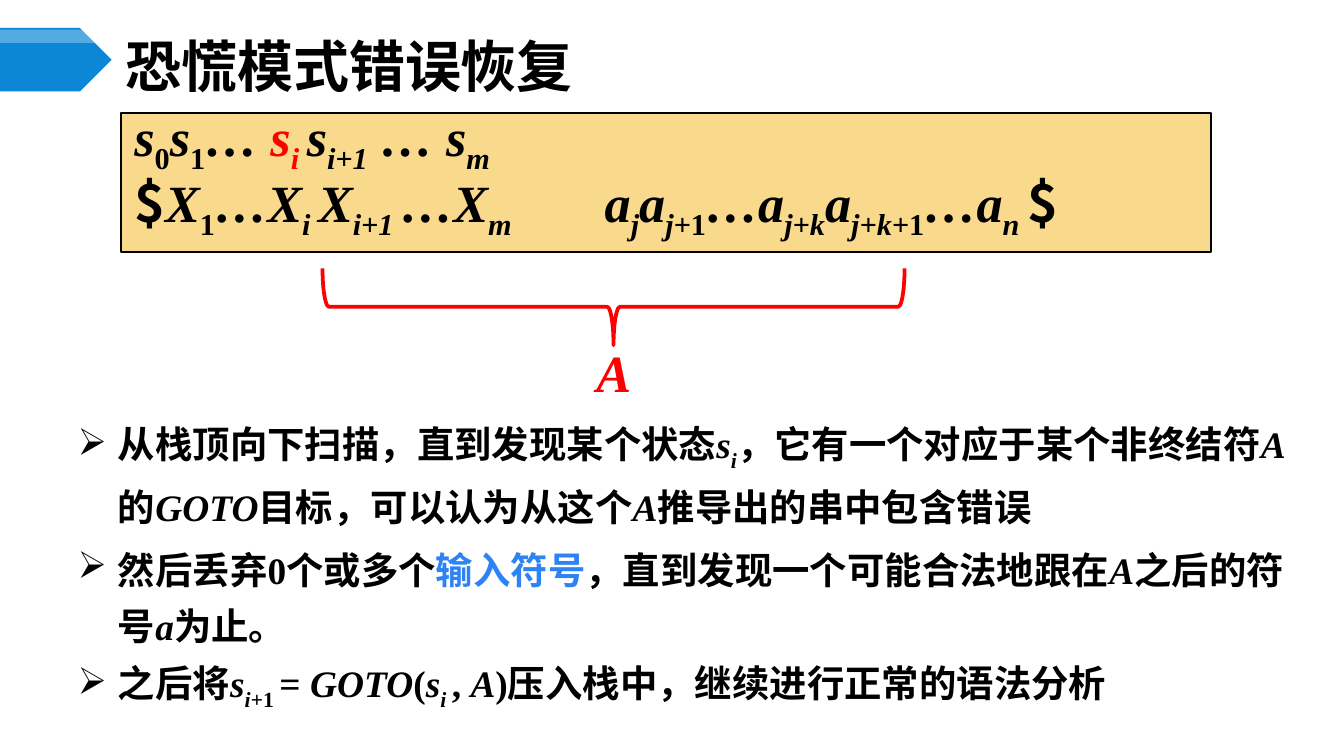
from lxml.etree import SubElement
from pptx import Presentation
from pptx.dml.color import RGBColor
from pptx.enum.shapes import MSO_SHAPE
from pptx.enum.text import MSO_ANCHOR, MSO_AUTO_SIZE, PP_ALIGN
from pptx.oxml.ns import qn
from pptx.util import Cm, Pt

SERIF = "Times New Roman"
SANS = "Noto Sans CJK SC"
BLACK, RED, BLUE = "000000", "FF0000", "2D83F4"

STACK = [
    [("s", "i"), ("0", "_"), ("s", "i"), ("1", "_"), ("… ", "i"),
     ("s", "ir"), ("i ", "i_r"), ("s", "i"), ("i+1", "i_"),
     (" … s", "i"), ("m", "i_")],
    [("$", "c"), ("X", "i"), ("1", "_"), ("…X", "i"), ("i ", "i_"),
     ("X", "i"), ("i+1 ", "i_"), ("…X", "i"), ("m", "i_"),
     ("\t\t", "i_"), ("a", "i"), ("j", "i_"), ("a", "i"), ("j+", "i_"),
     ("1", "_"), ("…a", "i"), ("j+k", "i_"), ("a", "i"),
     ("j+k+", "i_"), ("1", "_"), ("…a", "i"), ("n ", "i_"), ("$", "c")],
]
STEPS = [
    [("从栈顶向下扫描，直到发现某个状态", ""), ("s", "i"), ("i", "i_"),
     ("，它有一个对应于某个非终结符", ""), ("A", "i"), ("的", ""),
     ("GOTO", "i"), ("目标，可以认为从这个", ""), ("A", "i"),
     ("推导出的串中包含错误", "")],
    [("然后丢弃0个或多个", ""), ("输入符号", "b"),
     ("，直到发现一个可能合法地跟在", ""), ("A", "i"),
     ("之后的符号", ""), ("a", "i"), ("为止。", "")],
    [("之后将", ""), ("s", "i"), ("i+", "i_"), ("1 ", "_"), ("= ", ""),
     ("GOTO", "i"), ("(", ""), ("s", "i"), ("i ", "i_"), (", ", ""),
     ("A", "i"), (")压入栈中，继续进行正常的语法分析", "")],
]


def color(code):
    return RGBColor.from_string(code)


def style(run, size, marks="", east=SERIF):
    font = run.font
    font.size = Pt(size)
    font.bold = True
    font.italic = "i" in marks
    font.name = SANS if "c" in marks else SERIF
    font.color.rgb = color(RED if "r" in marks else BLUE if "b" in marks else BLACK)
    props = run._r.get_or_add_rPr()
    SubElement(props, qn("a:ea")).set("typeface", SANS if "c" in marks else east)
    if "_" in marks:
        props.set("baseline", "-25000")


def bullet(para):
    props = para._p.get_or_add_pPr()
    props.set("marL", str(Cm(0.76)))
    props.set("indent", str(Cm(-0.76)))
    SubElement(props, qn("a:buChar")).set("char", "➢")


def write(frame, lines, size, east=SERIF, dots=False):
    frame.word_wrap = True
    for row, parts in enumerate(lines):
        para = frame.add_paragraph() if row else frame.paragraphs[0]
        if dots:
            bullet(para)
        para.alignment = PP_ALIGN.LEFT
        para.line_spacing = Pt(30)
        if row:
            para.space_before = Pt(size * 0.2)
        for text, marks in parts:
            run = para.add_run()
            run.text = text
            style(run, size, marks, east)


def draw(slide, kind, place, fill=None, line=None, width=1):
    shape = slide.shapes.add_shape(kind, *map(Cm, place))
    shape.shadow.inherit = False
    if fill:
        shape.fill.solid()
        shape.fill.fore_color.rgb = color(fill)
    else:
        shape.fill.background()
    if line:
        shape.line.color.rgb = color(line)
        shape.line.width = Pt(width)
    else:
        shape.line.fill.background()
    return shape


def banner(slide):
    draw(slide, MSO_SHAPE.PENTAGON, (0, 0.53, 2.11, 1.2), "0B87D6")
    gloss = draw(slide, MSO_SHAPE.PENTAGON, (0, 0.56, 2.11, 0.25), "FFFFFF")
    tint = gloss.fill._xPr.find(qn("a:solidFill"))[0]
    SubElement(tint, qn("a:alpha")).set("val", "30000")


def head(slide, text):
    title = slide.shapes.title
    title.left, title.top, title.width, title.height = map(Cm, (2.11, 0.74, 22.02, 0.99))
    frame = title.text_frame
    frame.text = text
    frame.auto_size = MSO_AUTO_SIZE.NONE
    frame.vertical_anchor = MSO_ANCHOR.MIDDLE
    frame.paragraphs[0].alignment = PP_ALIGN.LEFT
    style(frame.paragraphs[0].runs[0], 30, "c")


def panel(slide):
    box = draw(slide, MSO_SHAPE.RECTANGLE, (2.29, 2.13, 20.6, 2.64), "F9D98C", BLACK)
    box.text_frame.vertical_anchor = MSO_ANCHOR.TOP
    write(box.text_frame, STACK, 28)


def brace(slide):
    mark = draw(slide, MSO_SHAPE.RIGHT_BRACE, (10.87, 0.3, 1.45, 11), line=RED, width=2)
    mark.rotation = 90
    label = slide.shapes.add_textbox(*map(Cm, (11.02, 6.3, 1.17, 1.45)))
    frame = label.text_frame
    frame.text = "A"
    frame.word_wrap = False
    style(frame.paragraphs[0].runs[0], 28, "ir")


def steps(slide):
    box = slide.shapes.add_textbox(*map(Cm, (1.22, 7.75, 23.83, 5.87)))
    write(box.text_frame, STEPS, 20, SANS, True)


def main():
    deck = Presentation()
    deck.slide_width, deck.slide_height = Cm(25.4), Cm(14.29)
    slide = deck.slides.add_slide(deck.slide_layouts[5])
    banner(slide)
    head(slide, "恐慌模式错误恢复")
    steps(slide)
    panel(slide)
    brace(slide)
    deck.save("out.pptx")


if __name__ == "__main__":
    main()
